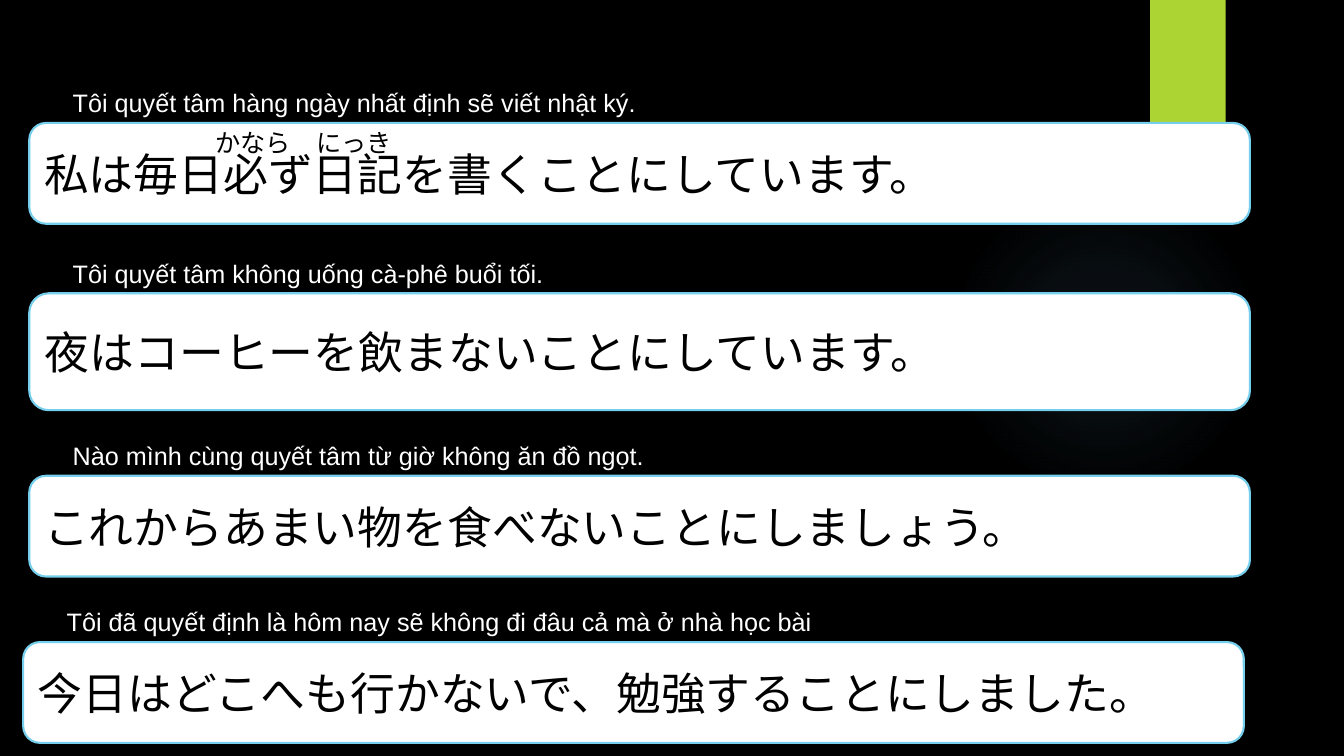
import pptx
import pptx.util
import pptx.dml.color
import pptx.enum.shapes
import pptx.enum.text
import pptx.oxml
import pptx.oxml.ns

COLORS = {"night": "000000", "paper": "FFFFFF", "outline": "75CEEC",
          "lime": "ACD433", "glow": "7AC4F0"}
SHAPE = pptx.enum.shapes.MSO_SHAPE
CELL = pptx.util.Inches(1) / 12
GRID_COLS, GRID_ROWS = 160, 90
BOX_WIDTH, CAPTION_HEIGHT, CAPTION_INDENT = 145.32, 4.8, 4

SENTENCES = [
    (3.48, 14.64, 12, 74.16, "Tôi quyết tâm hàng ngày nhất định sẽ viết nhật ký.",
     "私は毎日必ず日記を書くことにしています。"),
    (3.48, 34.92, 13.92, 74.16, "Tôi quyết tâm không uống cà-phê buổi tối.",
     "夜はコーヒーを飲まないことにしています。"),
    (3.48, 56.64, 12, 74.16, "Nào mình cùng quyết tâm từ giờ không ăn đồ ngọt.",
     "これからあまい物を食べないことにしましょう。"),
    (2.76, 76.44, 12, 94.44,
     "Tôi đã quyết định là hôm nay sẽ không đi đâu cả mà ở nhà học bài",
     "今日はどこへも行かないで、勉強することにしました。"),
]


def rgb(name):
    """Return a named colour."""
    return pptx.dml.color.RGBColor.from_string(COLORS[name])


def cells(*values):
    """Turn grid units into slide lengths."""
    return [pptx.util.Emu(round(v * CELL)) for v in values]


def write(shape, text, size, font, color):
    """Put one left-aligned line of text into a shape."""
    tf = shape.text_frame
    tf.text = text
    tf.word_wrap = True
    p = tf.paragraphs[0]
    p.alignment = pptx.enum.text.PP_ALIGN.LEFT
    r = p.runs[0]
    r.font.size = pptx.util.Pt(size)
    r.font.name = font
    r.font.color.rgb = rgb(color)


def add_label(s, place, text, font, color):
    """Add a small text box that grows with its text."""
    box = s.shapes.add_textbox(*cells(*place))
    write(box, text, 18, font, color)
    box.text_frame.auto_size = pptx.enum.text.MSO_AUTO_SIZE.SHAPE_TO_FIT_TEXT


def add_plain(s, kind, place, fill):
    """Add a filled shape without line or shadow."""
    sp = s.shapes.add_shape(kind, *cells(*place))
    sp.shadow.inherit = False
    sp.fill.solid()
    sp.fill.fore_color.rgb = rgb(fill)
    sp.line.fill.background()
    return sp


def add_glow(s, place):
    """Add a circle that fades out from its centre."""
    sp = add_plain(s, SHAPE.OVAL, place, "glow")
    stops = "".join(
        f'<a:gs pos="{pos}000"><a:srgbClr val="{COLORS["glow"]}">'
        f'<a:alpha val="{alpha}000"/></a:srgbClr></a:gs>'
        for pos, alpha in ((0, 7), (36, 6), (69, 0)))
    grad = pptx.oxml.parse_xml(
        f'<a:gradFill {pptx.oxml.ns.nsdecls("a")}><a:gsLst>{stops}</a:gsLst>'
        '<a:path path="circle"><a:fillToRect l="50000" t="50000" r="50000" '
        'b="50000"/></a:path></a:gradFill>')
    spPr = sp._element.spPr
    spPr.replace(spPr.find(pptx.oxml.ns.qn("a:solidFill")), grad)


def add_banner(s, place):
    """Add the lime ribbon with its soft shadow."""
    sp = add_plain(s, SHAPE.RECTANGLE, place, "lime")
    effects = sp._element.spPr.find(pptx.oxml.ns.qn("a:effectLst"))
    effects.append(pptx.oxml.parse_xml(
        f'<a:outerShdw {pptx.oxml.ns.nsdecls("a")} blurRad="38100" dist="25400" '
        f'dir="5400000" rotWithShape="0"><a:srgbClr val="{COLORS["night"]}">'
        '<a:alpha val="45000"/></a:srgbClr></a:outerShdw>'))


def add_sentence(s, left, top, height, caption_width, caption, sentence):
    """Add a translation and the boxed sentence below it."""
    add_label(s, (left + CAPTION_INDENT, top - CAPTION_HEIGHT, caption_width,
                  CAPTION_HEIGHT), caption, "Arial", "paper")
    sp = add_plain(s, SHAPE.ROUNDED_RECTANGLE, (left, top, BOX_WIDTH, height), "paper")
    sp.line.color.rgb = rgb("outline")
    sp.line.width = pptx.util.Pt(1.5)
    write(sp, sentence, 32, "Roboto", "night")
    sp.text_frame.vertical_anchor = pptx.enum.text.MSO_ANCHOR.MIDDLE


def main():
    """Build and save the slide."""
    prs = pptx.Presentation()
    prs.slide_width, prs.slide_height = cells(GRID_COLS, GRID_ROWS)
    s = prs.slides.add_slide(prs.slide_layouts[6])
    s.background.fill.solid()
    s.background.fill.fore_color.rgb = rgb("night")
    add_glow(s, (112.92, 21.96, 36.96, 36.96))
    add_banner(s, (136.92, 0, 9, 15))
    for sentence in SENTENCES:
        add_sentence(s, *sentence)
    add_label(s, (24.48, 14.52, 27.12, 4.8), "かなら\u3000にっき".replace("\u3000", "　"),
              "Roboto", "night")
    prs.save("out.pptx")


if __name__ == "__main__":
    main()
